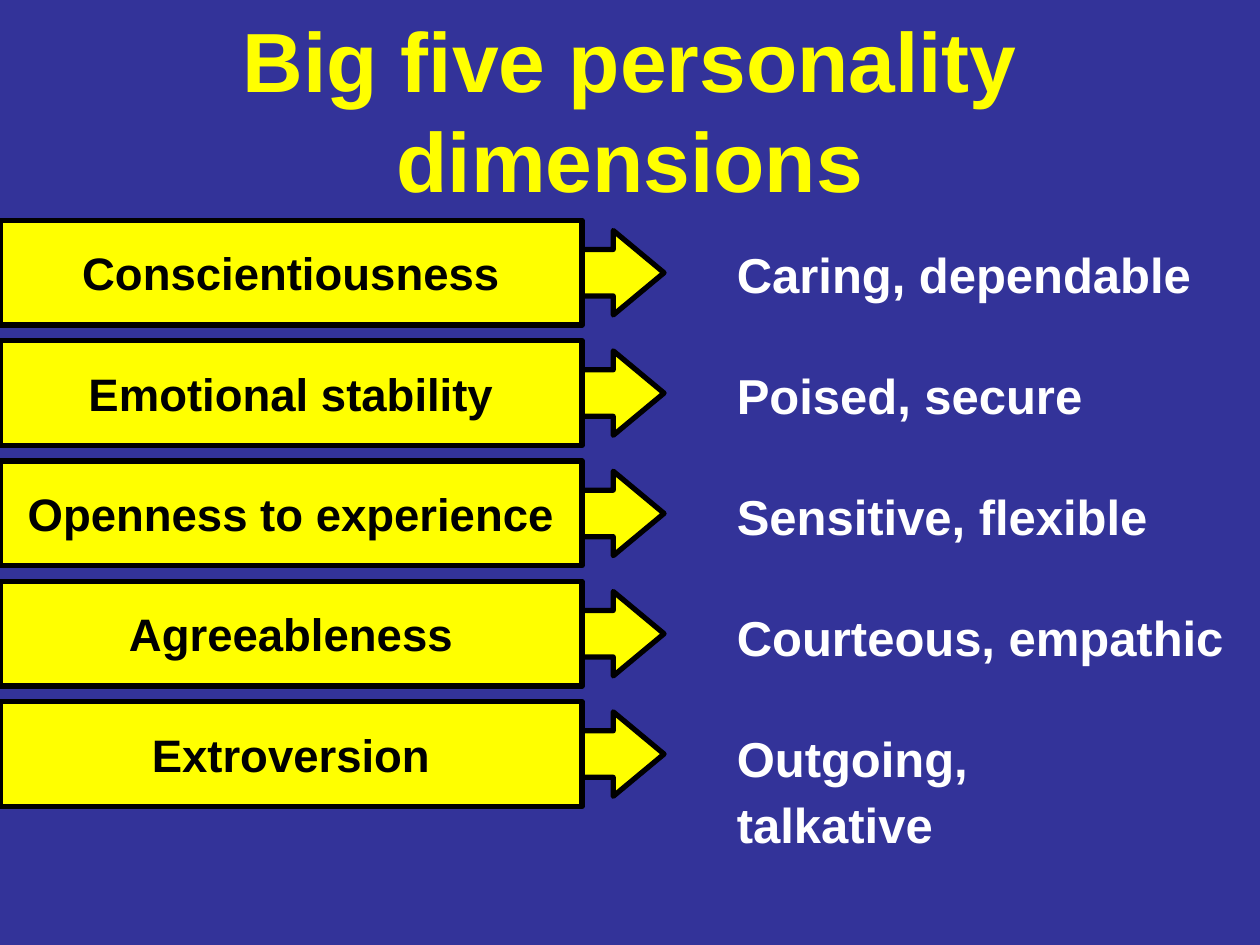
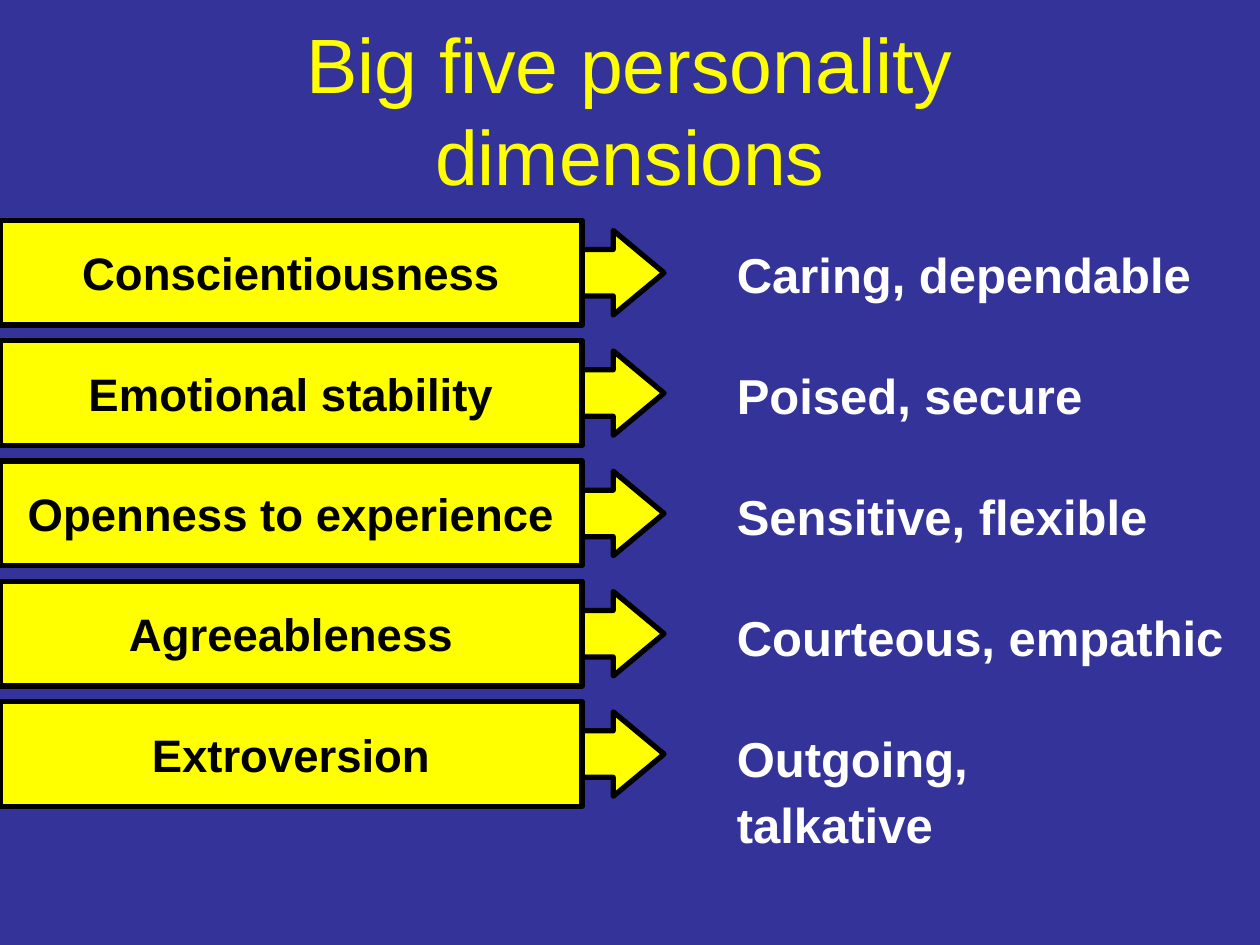
from pptx import Presentation
from pptx.dml.color import RGBColor
from pptx.enum.shapes import MSO_SHAPE as Shape
from pptx.enum.text import MSO_ANCHOR as Anchor, MSO_AUTO_SIZE as Fit, PP_ALIGN as Align
from pptx.util import Inches, Pt

NAVY, GOLD, BLACK, WHITE = "333399", "FFFF00", "000000", "FFFFFF"
HEAD = "Big five personality dimensions"
ROWS = [
    ("Conscientiousness", "Caring, dependable", 3.8),
    ("Emotional stability", "Poised, secure", 2.94),
    ("Openness to experience", "Sensitive, flexible", 3.46),
    ("Agreeableness", "Courteous, empathic", 4.06),
    ("Extroversion", "Outgoing, talkative", 3.69),
]
HEADS = [{"size": Pt(48), "bold": True}, {"size": Pt(44), "bold": False}]
LABEL = {"size": Pt(26), "bold": True}
TRAIT = {"size": Pt(28), "bold": True}
BOX_W, BOX_H = 4.62, 0.83
TIP_W, TIP_H = 0.65, 0.67


def tint(code):
    return RGBColor.from_string(code)


def apply(item, style):
    for key, value in style.items():
        setattr(item, key, value)


def write(frame, text, style, color, frame_style, para_style):
    apply(frame, frame_style)
    frame.text = text
    para = frame.paragraphs[0]
    apply(para, para_style)
    apply(para.font, {"name": "Arial", **style})
    para.font.color.rgb = tint(color)


def add_title(slide, style):
    title = slide.shapes.title
    apply(title, {"left": Inches(0.75), "top": Inches(0.15),
                  "width": Inches(8.5), "height": Inches(1.43)})
    write(title.text_frame, HEAD, style, GOLD,
          {"auto_size": Fit.NONE, "vertical_anchor": Anchor.MIDDLE},
          {"alignment": Align.CENTER})


def add_block(group, kind, *area):
    block = group.shapes.add_shape(kind, *map(Inches, area))
    block.shadow.inherit = False
    block.fill.solid()
    block.fill.fore_color.rgb = tint(GOLD)
    block.line.color.rgb = tint(BLACK)
    block.line.width = Pt(3)
    return block


def add_label(slide, text, top):
    group = slide.shapes.add_group_shape()
    box = add_block(group, Shape.RECTANGLE, 0, top, BOX_W, BOX_H)
    write(box.text_frame, text, LABEL, BLACK,
          {"word_wrap": False, "vertical_anchor": Anchor.MIDDLE},
          {"alignment": Align.CENTER})
    tip = add_block(group, Shape.RIGHT_ARROW, BOX_W,
                    top + (BOX_H - TIP_H) / 2, TIP_W, TIP_H)
    tip.adjustments[0] = 0.55
    tip.adjustments[1] = 0.62


def add_trait(slide, text, top, width):
    box = slide.shapes.add_textbox(*map(Inches, (5.75, top, width, 0.62)))
    write(box.text_frame, text, TRAIT, WHITE,
          {"word_wrap": False, "auto_size": Fit.SHAPE_TO_FIT_TEXT},
          {"line_spacing": Pt(38)})


def main():
    deck = Presentation()
    apply(deck, {"slide_width": Inches(10), "slide_height": Inches(7.5)})
    back = deck.slide_master.background.fill
    back.solid()
    back.fore_color.rgb = tint(NAVY)
    for style in HEADS:
        slide = deck.slides.add_slide(deck.slide_layouts[5])
        add_title(slide, style)
        for row, (label, trait, width) in enumerate(ROWS):
            add_trait(slide, trait, 1.83 + 0.96 * row, width)
            add_label(slide, label, 1.75 + 3.82 * row / 4)
    deck.save("out.pptx")


if __name__ == "__main__":
    main()
